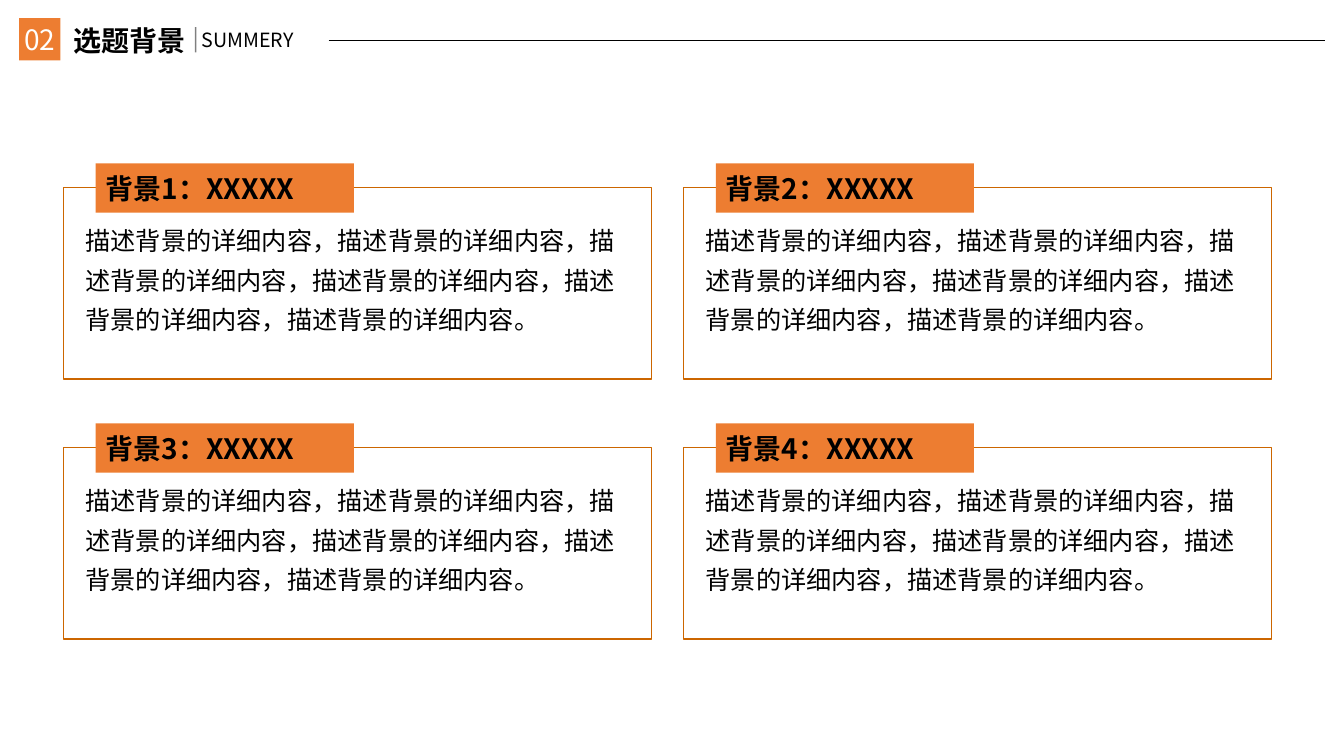
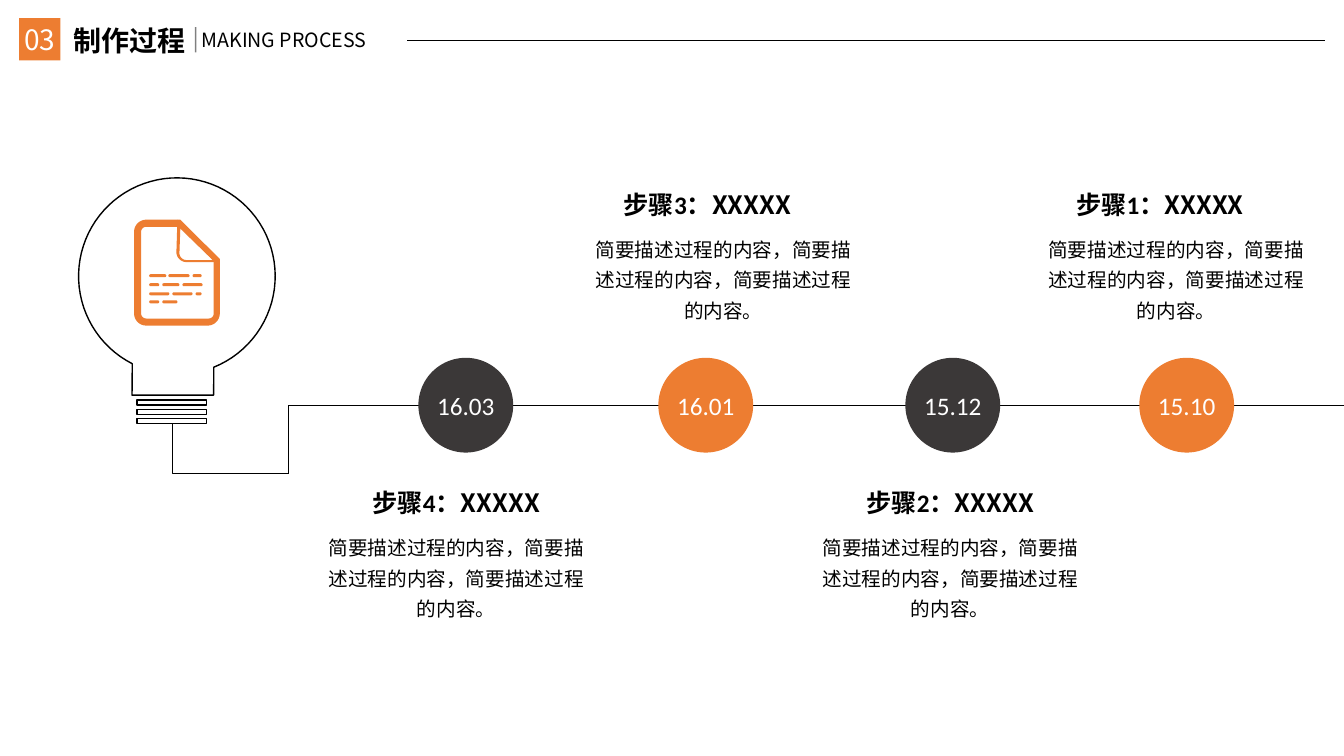
from dataclasses import dataclass
from math import cos, radians, sin

from lxml.etree import SubElement
from pptx import Presentation
from pptx.dml.color import RGBColor
from pptx.enum.shapes import MSO_CONNECTOR as Link, MSO_SHAPE as Form
from pptx.enum.text import MSO_ANCHOR as Anchor, MSO_AUTO_SIZE as Fit, PP_ALIGN as Align
from pptx.oxml.ns import qn
from pptx.shapes.autoshape import Shape
from pptx.shapes.connector import Connector
from pptx.slide import Slide
from pptx.text.text import TextFrame
from pptx.util import Inches, Pt

ORANGE, RUST, DARK = "ED7D31", "CC6600", "3B3838"
BLACK, WHITE = "000000", "FFFFFF"
SANS, LATIN = "Noto Sans CJK SC", "Calibri"
TITLE_ONLY = 5

Point = tuple[float, float]
Box = tuple[float, float, float, float]


@dataclass(frozen=True)
class Style:
    size: float
    color: str = BLACK
    font: str = SANS
    bold: bool = False
    align: Align = Align.LEFT
    space: float = 1.0


@dataclass(frozen=True)
class Run:
    text: str
    font: str = ""


@dataclass(frozen=True)
class Head:
    number: str
    title: str
    label: str
    rule: float


@dataclass(frozen=True)
class Step:
    number: int
    date: str
    disc: float
    left: float
    above: bool


TITLE = Style(20, bold=True)
LABEL = Style(14)
BADGE = Style(20, WHITE, align=Align.CENTER)
CARD_TEXT = Style(18, space=1.3)
DATE = Style(18, WHITE, LATIN, align=Align.CENTER)
STEP_HEAD = Style(18, font=LATIN, bold=True, align=Align.CENTER)
STEP_TEXT = Style(14, align=Align.CENTER, space=1.3)

CARD_BODY = "，".join(["描述背景的详细内容"] * 6) + "。"
STEP_BODY = "，".join(["简要描述过程的内容"] * 3) + "。"

STEPS = [
    Step(1, "15.10", 11.3, 10.26, True),
    Step(2, "15.12", 8.98, 8.02, False),
    Step(3, "16.01", 6.53, 5.77, True),
    Step(4, "16.03", 4.15, 3.12, False),
]

# Each row of the document icon: its top, then the left and width of each dash.
DASHES = {
    2.72: [(1.48, 0.17), (1.67, 0.21), (1.91, 0.09)],
    2.81: [(1.48, 0.1), (1.61, 0.17), (1.81, 0.2)],
    2.9: [(1.48, 0.2), (1.71, 0.2), (1.94, 0.06)],
    2.98: [(1.48, 0.1), (1.61, 0.15)],
}


def rgb(code: str) -> RGBColor:
    return RGBColor.from_string(code)


def write(frame: TextFrame, runs: list[Run], style: Style,
          anchor: Anchor = Anchor.TOP, pad: float = 0.1) -> None:
    frame.word_wrap = True
    frame.auto_size = Fit.NONE
    frame.vertical_anchor = anchor
    frame.margin_left = frame.margin_right = Inches(pad)
    frame.margin_top = frame.margin_bottom = Inches(min(pad, 0.05))
    para = frame.paragraphs[0]
    para.alignment = style.align
    para.line_spacing = style.space
    for item in runs:
        run = para.add_run()
        run.text = item.text
        font = run.font
        font.size, font.bold = Pt(style.size), style.bold
        font.color.rgb = rgb(style.color)
        font.name = item.font or style.font
        SubElement(font._element, qn("a:ea"), typeface=SANS)


def add_text(slide: Slide, box: Box, runs: list[Run], style: Style) -> None:
    area = slide.shapes.add_textbox(*map(Inches, box))
    write(area.text_frame, runs, style)


def paint(shape: Shape, fill: str = "", line: str = "") -> Shape:
    shape.shadow.inherit = False
    if fill:
        shape.fill.solid()
        shape.fill.fore_color.rgb = rgb(fill)
    else:
        shape.fill.background()
    if line:
        shape.line.color.rgb = rgb(line)
        shape.line.width = Pt(1)
    else:
        shape.line.fill.background()
    return shape


def add_form(slide: Slide, form: Form, box: Box, fill: str = "", line: str = "") -> Shape:
    return paint(slide.shapes.add_shape(form, *map(Inches, box)), fill, line)


def add_line(slide: Slide, start: Point, end: Point, width: float = 0.5,
             kind: Link = Link.STRAIGHT) -> Connector:
    line = slide.shapes.add_connector(kind, *map(Inches, start + end))
    line.line.color.rgb = rgb(BLACK)
    line.line.width = Pt(width)
    SubElement(line._element.spPr, qn("a:effectLst"))
    return line


def add_bend(slide: Slide, start: Point, end: Point) -> None:
    """Draw an elbow that goes up or down first, then across."""
    bend = add_line(slide, start, end, kind=Link.ELBOW)
    guides = bend._element.spPr.find(qn("a:prstGeom")).get_or_add_avLst()
    SubElement(guides, qn("a:gd"), name="adj1", fmla="val 0")


def arc(x: float, y: float, radius: float, start: int, stop: int) -> list[Point]:
    """Points on a circle; degrees run clockwise from the right."""
    count = max(6, (stop - start) // 4)
    turns = [radians(start + (stop - start) * i / count) for i in range(count + 1)]
    return [(x + radius * cos(t), y + radius * sin(t)) for t in turns]


def add_path(slide: Slide, rings: list[list[Point]], fill: str, line: str = "") -> None:
    """Draw closed outlines as one shape; those after the first are holes."""
    paths = [[(Inches(x), Inches(y)) for x, y in ring] for ring in rings]
    maker = slide.shapes.build_freeform(*paths[0][0])
    maker.add_line_segments(paths[0][1:])
    for hole in paths[1:]:
        hole.reverse()
        maker.move_to(*hole[0])
        maker.add_line_segments(hole[1:])
    paint(maker.convert_to_shape(), fill, line)


def add_head(slide: Slide, head: Head) -> None:
    title = slide.shapes.title
    title.left, title.top, title.width, title.height = map(Inches, (0.63, 0.18, 1.38, 0.44))
    write(title.text_frame, [Run(head.title)], TITLE, Anchor.MIDDLE)
    add_text(slide, (1.9, 0.23, 2, 0.34), [Run(head.label)], LABEL)
    badge = add_form(slide, Form.RECTANGLE, (0.19, 0.18, 0.41, 0.42), ORANGE)
    write(badge.text_frame, [Run(head.number)], BADGE, Anchor.MIDDLE, 0)
    add_line(slide, (head.rule, 0.4), (13.14, 0.4))
    mark = add_line(slide, (1.94, 0.27), (1.94, 0.52), 1)
    tint = mark._element.spPr.find(".//" + qn("a:srgbClr"))
    SubElement(tint, qn("a:alpha"), val="49000")


def add_card(slide: Slide, number: int, x: float, y: float) -> None:
    add_text(slide, (x + 0.12, y + 0.24, 5.58, 1.24), [Run(CARD_BODY)], CARD_TEXT)
    add_form(slide, Form.RECTANGLE, (x, y, 5.83, 1.9), line=RUST)
    tag = add_form(slide, Form.RECTANGLE, (x + 0.32, y - 0.24, 2.56, 0.49), ORANGE)
    write(tag.text_frame, [Run(f"背景{number}：XXXXX")], TITLE, Anchor.MIDDLE)


def add_bulb(slide: Slide) -> None:
    glass = arc(1.755, 2.74, 0.975, 117, 428)
    add_path(slide, [glass + [(2.12, 3.92), (1.31, 3.92), glass[0]]], WHITE, BLACK)
    for i in range(3):
        add_form(slide, Form.RECTANGLE, (1.36, 3.97 + 0.09 * i, 0.69, 0.05), WHITE, BLACK)


def page(top: Point, side: Point, right: float, radius: float) -> list[Point]:
    """Outline of a sheet with its upper right corner cut off."""
    return [top, side, *arc(right, 3.11, radius, 0, 90), *arc(1.45, 3.11, radius, 90, 180),
            *arc(1.45, 2.3, radius, 180, 270), top]


def fold(top: Point, side: Point, y: float, radius: float) -> list[Point]:
    return [top, side, *arc(1.85, y, radius, 90, 180), top]


def add_icon(slide: Slide) -> None:
    add_path(slide, [page((1.79, 2.18), (2.18, 2.57), 2.06, 0.12),
                     page((1.77, 2.25), (2.12, 2.59), 2.07, 0.05)], ORANGE)
    for top, row in DASHES.items():
        for left, width in row:
            dash = add_form(slide, Form.ROUNDED_RECTANGLE, (left, top, width, 0.03), ORANGE)
            dash.adjustments[0] = 0.5
    add_path(slide, [fold((1.76, 2.18), (2.18, 2.6), 2.5, 0.1),
                     fold((1.79, 2.24), (2.11, 2.58), 2.51, 0.07)], ORANGE)


def add_step(slide: Slide, step: Step) -> None:
    fill = ORANGE if step.above else DARK
    disc = add_form(slide, Form.OVAL, (step.disc, 3.55, 0.94, 0.94), fill)
    write(disc.text_frame, [Run(step.date)], DATE, Anchor.MIDDLE, 0)
    top = 1.83 if step.above else 4.79
    shift = 0 if step.above else 0.16
    name = [Run(f"步骤{step.number}"), Run("：XXXXX", SANS)]
    add_text(slide, (step.left + shift, top, 2.49, 0.4), name, STEP_HEAD)
    add_text(slide, (step.left, top + 0.41, 2.81, 1.02), [Run(STEP_BODY)], STEP_TEXT)


def add_topic(slide: Slide) -> None:
    add_head(slide, Head("02", "选题背景", "SUMMERY", 3.26))
    for i in range(4):
        row, col = divmod(i, 2)
        add_card(slide, i + 1, 0.63 + 6.15 * col, 1.86 + 2.58 * row)


def add_process(slide: Slide) -> None:
    add_bend(slide, (1.71, 4.2), (2.86, 4.7))
    add_bend(slide, (2.86, 4.7), (13.33, 4.02))
    add_bulb(slide)
    add_head(slide, Head("03", "制作过程", "MAKING PROCESS", 4.04))
    for step in STEPS:
        add_step(slide, step)
    add_icon(slide)


def main() -> None:
    deck = Presentation()
    deck.slide_width, deck.slide_height = Inches(13.33), Inches(7.5)
    for build in (add_topic, add_process):
        build(deck.slides.add_slide(deck.slide_layouts[TITLE_ONLY]))
    deck.save("out.pptx")


if __name__ == "__main__":
    main()
